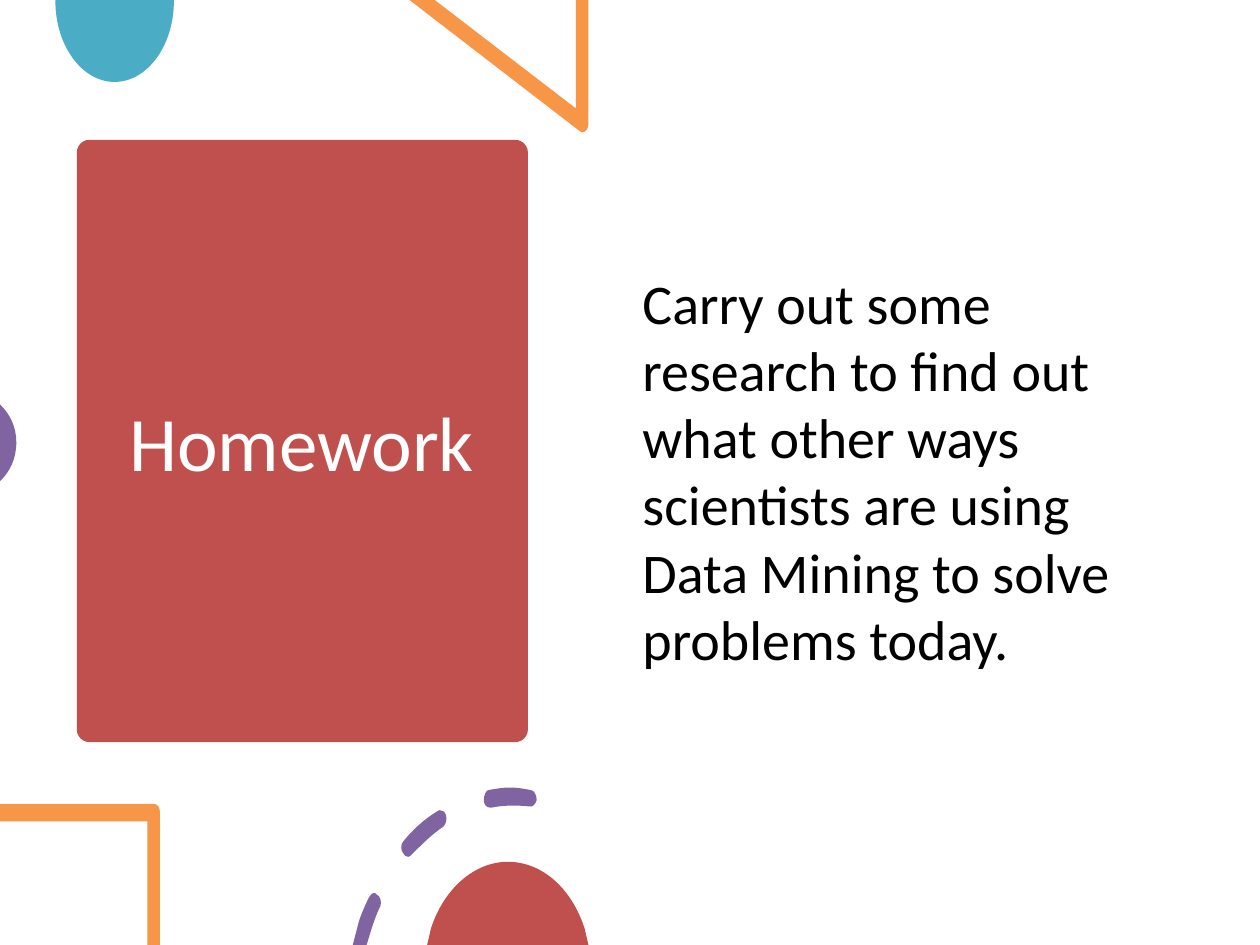
from lxml import etree
from pptx import Presentation
from pptx.dml.color import RGBColor
from pptx.enum import shapes, text
from pptx.oxml import ns
from pptx.util import Inches, Pt

RED, ORANGE, PURPLE, TEAL = "C0504D", "F79646", "8064A2", "4BACC6"


def color(hex_value):
    """Return the colour for a hex string."""
    return RGBColor.from_string(hex_value)


def paint(shape, hex_value):
    """Give a shape a flat fill without outline or shadow."""
    shape.shadow.inherit = False
    shape.fill.solid()
    shape.fill.fore_color.rgb = color(hex_value)
    shape.line.fill.background()


def bend(shape, steps):
    """Merge the three line segments of each six-number step into a cubic curve."""
    segments = iter(shape._element.xpath(".//a:lnTo"))
    for step in steps:
        first = next(segments)
        if len(step) == 6:
            curve = etree.Element(ns.qn("a:cubicBezTo"))
            first.addprevious(curve)
            for segment in (first, next(segments), next(segments)):
                curve.append(segment[0])
                segment.getparent().remove(segment)


def add_outline(slide, left, top, outlines, hex_value):
    """Draw closed outlines, given in inches from left and top, as one shape."""
    builder = None
    for outline in outlines:
        points = [(Inches(left + step[i]), Inches(top + step[i + 1]))
                  for step in outline for i in range(0, len(step), 2)]
        if builder is None:
            builder = slide.shapes.build_freeform(*points[0], scale=1.0)
        else:
            builder.move_to(*points[0])
        builder.add_line_segments(points[1:], close=True)
    shape = builder.convert_to_shape()
    bend(shape, [step for outline in outlines for step in outline[1:]])
    paint(shape, hex_value)


def add_text(slide, left, top, width, height, words, size, hex_value, anchor, alignment):
    """Add a wrapped one-paragraph text box."""
    box = slide.shapes.add_textbox(Inches(left), Inches(top), Inches(width), Inches(height))
    frame = box.text_frame
    frame.word_wrap = True
    frame.vertical_anchor = anchor
    paragraph = frame.paragraphs[0]
    paragraph.text = words
    paragraph.alignment = alignment
    paragraph.font.name = "Calibri"
    paragraph.font.size = Pt(size)
    paragraph.font.color.rgb = color(hex_value)


def add_title_card(slide, left, top, width, height):
    """Draw the rounded red card with its centred title."""
    card = slide.shapes.add_shape(
        shapes.MSO_SHAPE.ROUNDED_RECTANGLE,
        Inches(left), Inches(top), Inches(width), Inches(height),
    )
    card.adjustments[0] = 0.028
    paint(card, RED)
    add_text(slide, left + 0.17, top + 0.11, width - 0.35, height - 0.22, "Homework", 44,
             "FFFFFF", text.MSO_ANCHOR.MIDDLE, text.PP_ALIGN.CENTER)


def add_top_decorations(slide, left, top):
    """Draw the teal half disc, orange triangle and purple disc."""
    half_disc = [(0.94, 0), (0, 0), (0, 0.01), (0, 0.36, 0.21, 0.65, 0.47, 0.65),
                 (0.73, 0.65, 0.94, 0.36, 0.94, 0.01)]
    triangle = [(1.42, 0), (1.32, 0), (1.32, 0.86), (0.2, 0), (0, 0), (1.35, 1.04),
                (1.36, 1.05, 1.36, 1.05, 1.37, 1.05), (1.4, 1.05, 1.42, 1.02, 1.42, 0.98)]
    side_disc = [(0, 0), (0, 0.61), (0.01, 0.6), (0.08, 0.53, 0.13, 0.43, 0.13, 0.3),
                 (0.13, 0.18, 0.08, 0.08, 0.01, 0.01)]
    add_outline(slide, left + 0.44, top, [half_disc], TEAL)
    add_outline(slide, left + 3.25, top, [triangle], ORANGE)
    add_outline(slide, left, top + 3.21, [side_disc], PURPLE)


def add_bottom_decorations(slide, left, top):
    """Draw the orange corner, dashed purple ring and red disc."""
    corner = [(1.22, 0), (0, 0), (0, 0.14), (1.17, 0.14), (1.17, 1.12), (1.27, 1.12),
              (1.27, 0.07), (1.27, 0.03, 1.25, 0, 1.22, 0)]
    dashes = [
        [(0.18, 0.84), (0.16, 0.83, 0.14, 0.85, 0.13, 0.87), (0.1, 0.93, 0.07, 1, 0.05, 1.06),
         (0, 1.25), (0.11, 1.25), (0.15, 1.12), (0.17, 1.06, 0.19, 1, 0.22, 0.94),
         (0.23, 0.91, 0.22, 0.86, 0.19, 0.85), (0.19, 0.84, 0.18, 0.84, 0.18, 0.84)],
        [(0.69, 0.18), (0.68, 0.18, 0.68, 0.18, 0.67, 0.19), (0.57, 0.25, 0.48, 0.33, 0.4, 0.43),
         (0.38, 0.45, 0.38, 0.5, 0.4, 0.52), (0.41, 0.54, 0.42, 0.55, 0.44, 0.55), (0.44, 0.55),
         (0.45, 0.55, 0.46, 0.54, 0.47, 0.53), (0.55, 0.45, 0.63, 0.37, 0.72, 0.31),
         (0.74, 0.29, 0.75, 0.25, 0.74, 0.22), (0.73, 0.19, 0.71, 0.18, 0.69, 0.18)],
        [(1.25, 0), (1.19, 0, 1.14, 0.01, 1.08, 0.02), (1.06, 0.02, 1.04, 0.06, 1.04, 0.1),
         (1.04, 0.13, 1.06, 0.16, 1.09, 0.16), (1.09, 0.16, 1.1, 0.16, 1.1, 0.16),
         (1.2, 0.14, 1.3, 0.14, 1.4, 0.15), (1.43, 0.16, 1.45, 0.13, 1.46, 0.1),
         (1.46, 0.06, 1.44, 0.02, 1.41, 0.02), (1.41, 0.02, 1.41, 0.02, 1.41, 0.02),
         (1.36, 0.01, 1.3, 0, 1.25, 0)],
    ]
    disc = [(0.64, 0), (0.37, 0, 0.13, 0.22, 0.03, 0.53), (0, 0.66), (1.28, 0.66),
            (1.25, 0.53), (1.15, 0.22, 0.92, 0, 0.64, 0)]
    add_outline(slide, left, top + 0.13, [corner], ORANGE)
    add_outline(slide, left + 2.8, top, dashes, PURPLE)
    add_outline(slide, left + 3.39, top + 0.59, [disc], RED)


def main():
    """Build and save the homework slide."""
    presentation = Presentation()
    presentation.slide_width, presentation.slide_height = Inches(10), Inches(7.5)
    slide = presentation.slides.add_slide(presentation.slide_layouts[6])
    add_title_card(slide, 0.61, 1.11, 3.58, 4.78)
    add_top_decorations(slide, 0, 0)
    add_text(slide, 5, 2.08, 4.31, 4.16,
             "Carry out some research to find out what other ways scientists are using "
             "Data Mining to solve problems today.",
             32, "000000", text.MSO_ANCHOR.TOP, text.PP_ALIGN.LEFT)
    add_bottom_decorations(slide, 0, 6.25)
    presentation.save("out.pptx")


if __name__ == "__main__":
    main()
